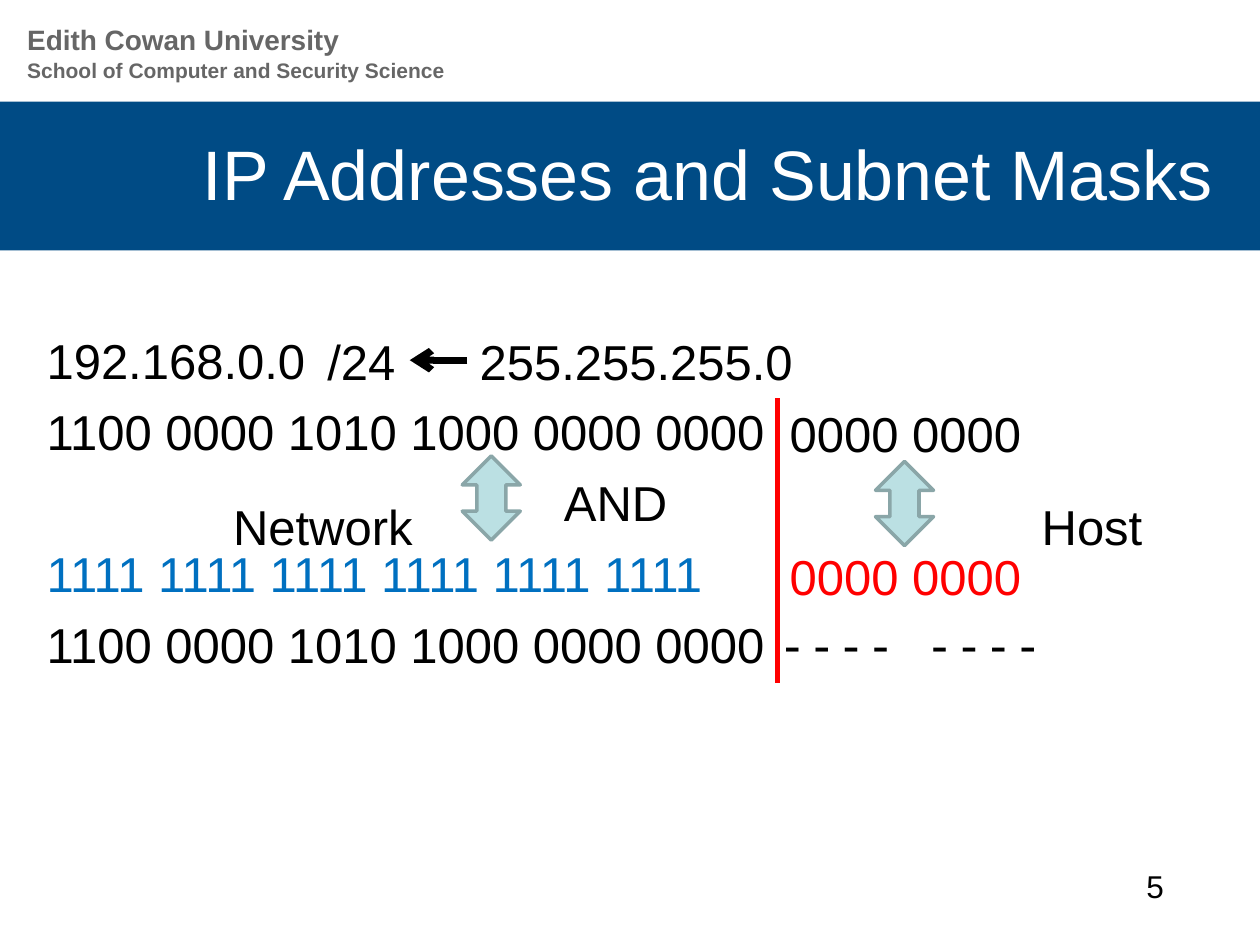
from dataclasses import dataclass

from lxml import etree
from pptx import Presentation
from pptx.dml.color import RGBColor
from pptx.enum.shapes import MSO_CONNECTOR, MSO_SHAPE
from pptx.enum.text import MSO_ANCHOR, PP_ALIGN
from pptx.oxml.ns import qn
from pptx.util import Cm, Pt

RECT, UPDOWN = MSO_SHAPE.RECTANGLE, MSO_SHAPE.UP_DOWN_ARROW
STRAIGHT = MSO_CONNECTOR.STRAIGHT
LEFT, CENTER, RIGHT = PP_ALIGN.LEFT, PP_ALIGN.CENTER, PP_ALIGN.RIGHT
TOP, MIDDLE = MSO_ANCHOR.TOP, MSO_ANCHOR.MIDDLE


@dataclass(frozen=True)
class Theme:
    navy: str = "004B85"
    gray: str = "666666"
    white: str = "FFFFFF"
    black: str = "000000"
    blue: str = "0070C0"
    red: str = "FF0000"
    teal: str = "BBE0E3"
    edge: str = "8AA6A8"
    font: str = "Arial"
    mono: str = "DejaVu Sans Mono"
    title: int = 40
    body: int = 28
    page: int = 18
    school: int = 16
    unit: int = 12
    gap: int = 7


THEME = Theme()


def color(code):
    return RGBColor.from_string(code)


def add_run(para, text, **style):
    run = para.add_run()
    run.text = text
    look = {"name": THEME.font, "size": THEME.body, "bold": False,
            "color": THEME.black, **style}
    run.font.color.rgb = color(look.pop("color"))
    look["size"] = Pt(look["size"])
    for key, value in look.items():
        setattr(run.font, key, value)


def add_frame(slide, box, anchor=TOP):
    frame = slide.shapes.add_textbox(*map(Cm, box)).text_frame
    frame.word_wrap = True
    frame.vertical_anchor = anchor
    return frame


def add_label(slide, box, text, align=LEFT, anchor=TOP, **style):
    para = add_frame(slide, box, anchor).paragraphs[0]
    para.alignment = align
    add_run(para, text, **style)


def add_block(slide, kind, box, fill, edge=None):
    shape = slide.shapes.add_shape(kind, *map(Cm, box))
    shape.shadow.inherit = False
    shape.fill.solid()
    shape.fill.fore_color.rgb = color(fill)
    if edge:
        shape.line.color.rgb = color(edge)
        shape.line.width = Pt(2)
    else:
        shape.line.fill.background()


def add_line(slide, ends, shade, width, arrow=False):
    link = slide.shapes.add_connector(STRAIGHT, *map(Cm, ends))
    link.line.color.rgb = color(shade)
    link.line.width = Pt(width)
    if arrow:
        etree.SubElement(link.line._get_or_add_ln(), qn("a:tailEnd"), type="arrow")
    etree.SubElement(link._element.spPr, qn("a:effectLst"))


def draw_header(slide, box):
    x, y, w, _ = box
    rows = [(0.71, 0.76, "School of Computer and Security Science", THEME.unit),
            (0, 0.94, "Edith Cowan University", THEME.school)]
    for dy, high, text, size in rows:
        add_label(slide, (x, y + dy, w, high), text,
                  size=size, bold=True, color=THEME.gray)


def draw_title(slide, box):
    x, y, w, _ = box
    add_block(slide, RECT, box, THEME.navy)
    add_label(slide, (x + 0.69, y + 0.05, w - 1.4, 2.77),
              "IP Addresses and Subnet Masks", RIGHT, MIDDLE,
              size=THEME.title, color=THEME.white)


def draw_bits(slide, box):
    """Address, mask and result in binary, one row each."""
    net = "1100 0000 1010 1000 0000 0000"
    rows = [("192.168.0.0", LEFT, THEME.black),
            (net, LEFT, THEME.black),
            ("AND", CENTER, THEME.black),
            ("1111 1111 1111 1111 1111 1111", LEFT, THEME.blue),
            (net + " ", LEFT, THEME.black)]
    frame = add_frame(slide, box)
    for i, (text, align, shade) in enumerate(rows):
        para = frame.add_paragraph() if i else frame.paragraphs[0]
        para.alignment = align
        if i:
            para.space_before = Pt(THEME.gap)
        add_run(para, text, color=shade)
    add_run(para, "---- ----", name=THEME.mono)


def draw_marks(slide, box):
    """Mask, host bits, arrows and the split between network and host."""
    x, y, _, _ = box
    split = 14.98
    labels = [(8.73, 0.02, 8.05, "255.255.255.0", THEME.black),
              (5.66, 0.02, 3.18, "/24", THEME.black),
              (split, 4.37, 6.78, "0000 0000", THEME.red),
              (20.06, 3.35, 2.97, "Host", THEME.black),
              (3.76, 3.35, 4.88, "Network", THEME.black),
              (split, 1.47, 6.2, "0000 0000", THEME.black)]
    for dx, dy, wide, text, shade in labels:
        add_label(slide, (x + dx, y + dy, wide, 1.45), text, color=shade)
    for dx, dy in [(8.63, 2.66), (16.96, 2.77)]:
        add_block(slide, UPDOWN, (x + dx, y + dy, 1.17, 1.7),
                  THEME.teal, THEME.edge)
    add_line(slide, (x + 8.73, y + 0.73, x + 7.57, y + 0.73),
             THEME.black, 4, arrow=True)
    add_line(slide, (x + split, y + 1.5, x + split, y + 7.24), THEME.red, 3)


def main():
    deck = Presentation()
    deck.slide_width, deck.slide_height = Cm(25.4), Cm(19.05)
    slide = deck.slides.add_slide(deck.slide_layouts[6])
    body = (0.69, 6.53, 23.44, 11.8)
    draw_title(slide, (0, 2.05, 25.4, 3))
    draw_header(slide, (0.3, 0.33, 14.96, 1.5))
    draw_bits(slide, body)
    draw_marks(slide, body)
    add_label(slide, (22.86, 17.35, 2.54, 1.32), "5", size=THEME.page)
    deck.save("out.pptx")


if __name__ == "__main__":
    main()
